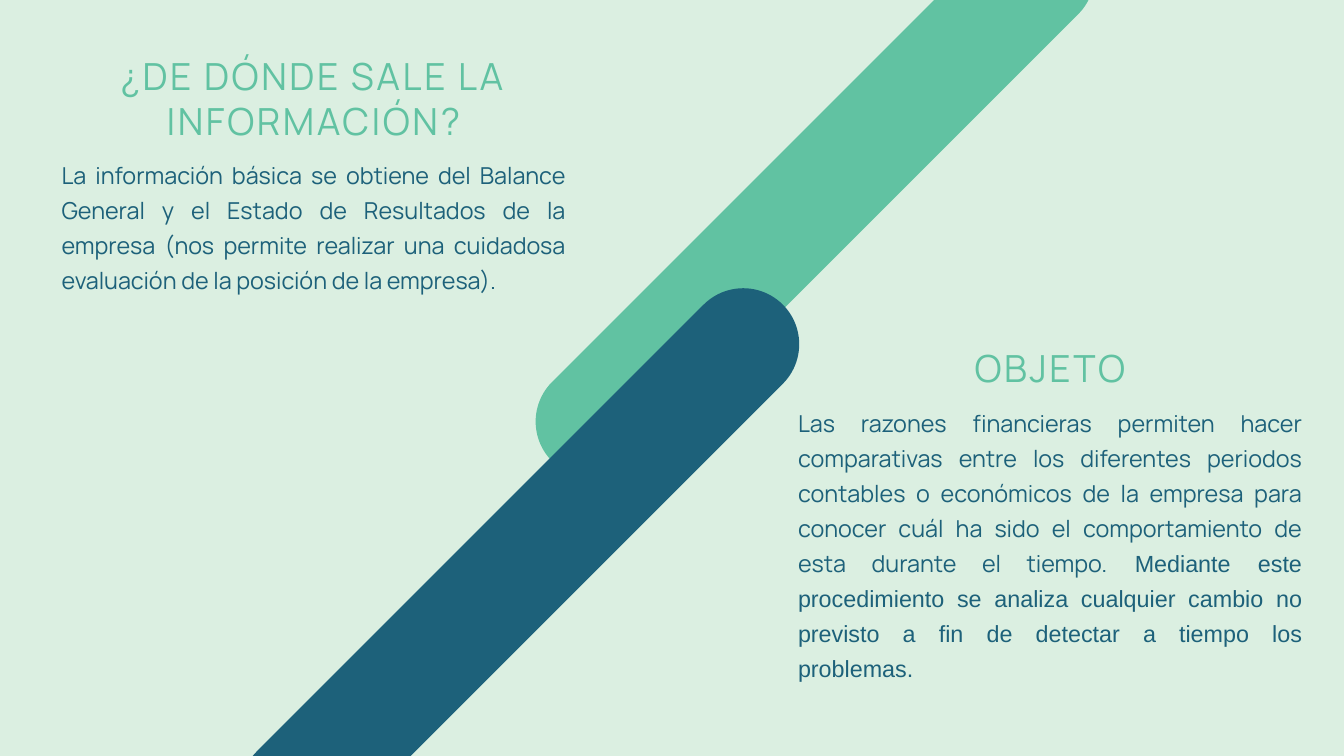
from dataclasses import dataclass

from lxml import etree
from pptx import Presentation
from pptx import util as u
from pptx.dml.color import RGBColor
from pptx.enum import shapes, text
from pptx.oxml.ns import qn

SCALE = 9525


def px(n):
    return u.Emu(n * SCALE)


@dataclass(frozen=True)
class Theme:
    back: str = "DBEFE1"
    mint: str = "61C2A2"
    navy: str = "1D617A"
    font: str = "Manrope"
    alt: str = "Arial"
    head: int = 40
    body: int = 25
    track: int = 280


class Deck:
    def __init__(self, theme):
        self.theme = theme
        self.prs = Presentation()
        self.prs.slide_width, self.prs.slide_height = px(1920), px(1080)
        self.slide = self.prs.slides.add_slide(self.prs.slide_layouts[4])
        self.slots = {p.placeholder_format.idx: p for p in self.slide.placeholders}
        fill = self.slide.background.fill
        fill.solid()
        fill.fore_color.rgb = RGBColor.from_string(theme.back)

    def bar(self, left, top, color):
        box = map(px, (left, top, 1063, 160))
        bar = self.slide.shapes.add_shape(shapes.MSO_SHAPE.ROUNDED_RECTANGLE, *box)
        bar.adjustments[0] = 0.5
        bar.rotation = 315
        bar.shadow.inherit = False
        bar.fill.solid()
        bar.fill.fore_color.rgb = RGBColor.from_string(color)
        bar.line.fill.background()

    def label(self, slot, box, parts, size, color, lead, align):
        shape = self.slots.pop(slot)
        shape.left, shape.top, shape.width, shape.height = map(px, box)
        frame = shape.text_frame
        frame.margin_left = frame.margin_right = 0
        frame.margin_top = frame.margin_bottom = 0
        frame.word_wrap = True
        frame.auto_size = text.MSO_AUTO_SIZE.NONE
        frame.vertical_anchor = text.MSO_ANCHOR.TOP
        para = frame.paragraphs[0]
        para.alignment = align
        para.line_spacing = u.Pt(lead)
        para.space_before = para.space_after = u.Pt(0)
        props = para._p.get_or_add_pPr()
        props.set("marL", "0")
        props.set("indent", "0")
        etree.SubElement(props, qn("a:buNone"))
        for words, name in parts:
            run = para.add_run()
            run.text = words
            run.font.name = name
            run.font.size = u.Pt(size)
            run.font.bold = False
            run.font.color.rgb = RGBColor.from_string(color)
        return para

    def head(self, slot, box, words):
        t = self.theme
        para = self.label(slot, box, [(words, t.font)], t.head, t.mint, 48,
                          text.PP_ALIGN.CENTER)
        for run in para.runs:
            run._r.get_or_add_rPr().set("spc", str(t.track))

    def body(self, slot, box, parts):
        t = self.theme
        self.label(slot, box, parts, t.body, t.navy, 37.5, text.PP_ALIGN.JUSTIFY)

    def save(self):
        for shape in self.slots.values():
            shape._element.getparent().remove(shape._element)
        self.prs.save("out.pptx")


def main():
    theme = Theme()
    deck = Deck(theme)
    deck.bar(633, 203, theme.mint)
    deck.bar(211, 731, theme.navy)
    deck.head(0, (88, 76, 720, 128), "¿DE DÓNDE SALE LA INFORMACIÓN?")
    deck.body(2, (88, 220, 720, 246), [
        ("La información básica se obtiene del Balance General y el Estado de "
         "Resultados de la empresa (nos permite realizar una cuidadosa "
         "evaluación de la posición de la empresa).", theme.font),
    ])
    deck.head(3, (1140, 493, 720, 64), "OBJETO")
    deck.body(4, (1140, 574, 720, 396), [
        ("Las razones financieras permiten hacer comparativas entre los "
         "diferentes periodos contables o económicos de la empresa para conocer "
         "cuál ha sido el comportamiento de esta durante el tiempo.", theme.font),
        (" Mediante este procedimiento se analiza cualquier cambio no previsto "
         "a fin de detectar a tiempo los problemas.", theme.alt),
    ])
    deck.save()


if __name__ == "__main__":
    main()
